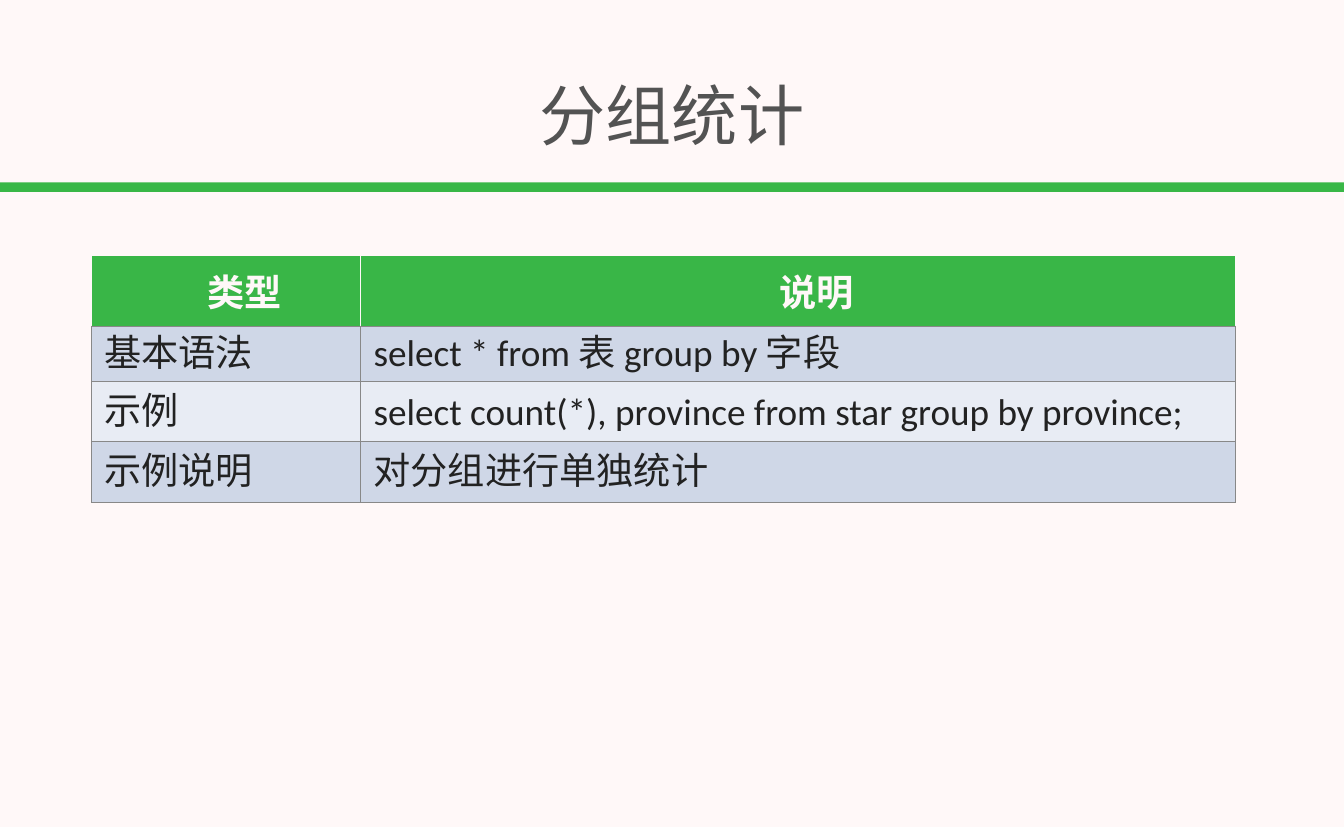
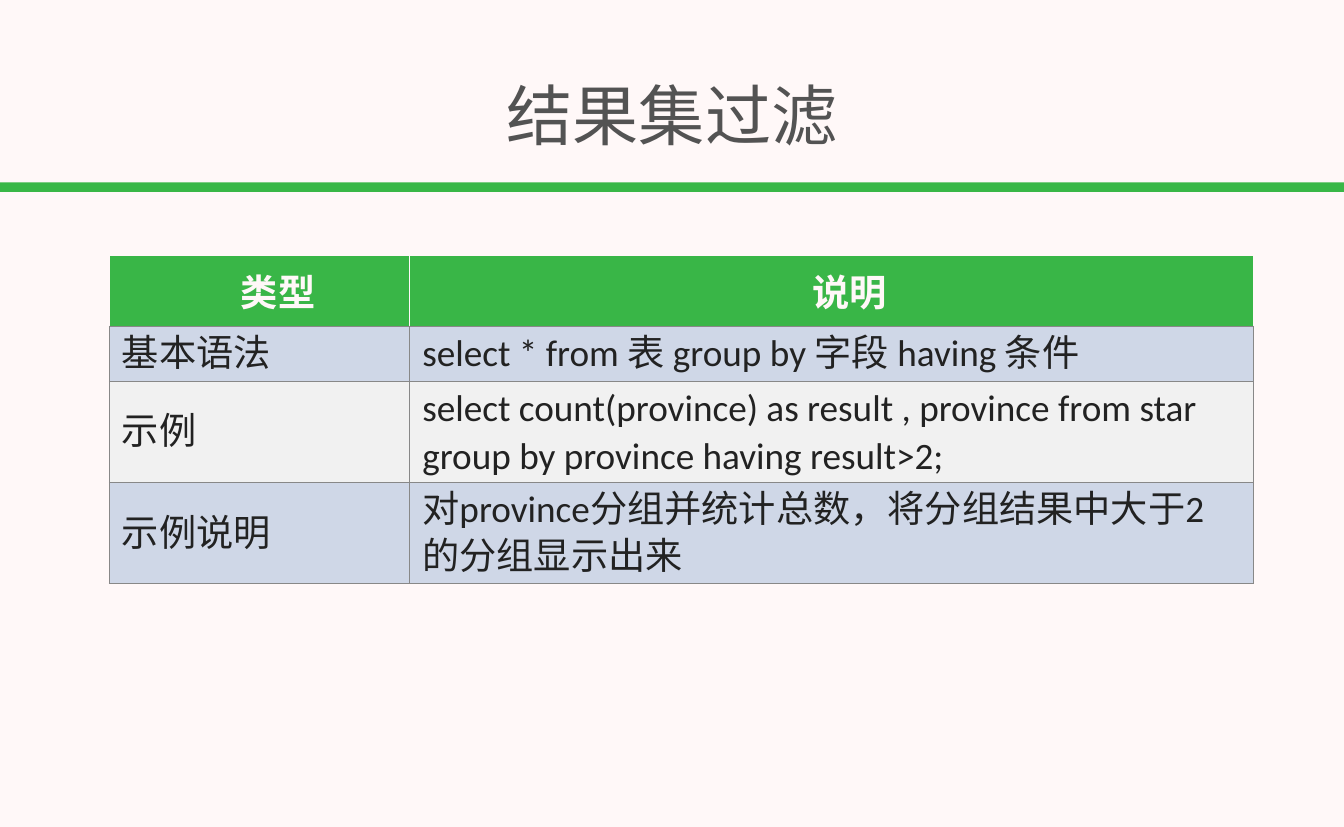
"""Build two slides that explain SQL grouping and result filtering."""
import pptx
import pptx.util
import pptx.dml.color
import pptx.enum.lang
import pptx.enum.shapes
import pptx.enum.text
import pptx.oxml.ns
import lxml.etree

Pt = pptx.util.Pt
ALIGN = pptx.enum.text.PP_ALIGN
MIDDLE = pptx.enum.text.MSO_ANCHOR.MIDDLE
WIDE, HIGH = 1300.32, 799.92
PAPER, GREEN, HEAD, GREY = "FFF8F8", "39B747", "39B647", "888888"
INK, TITLE, BLUE = "222222", "535353", "CFD7E7"
LANG = pptx.enum.lang.MSO_LANGUAGE_ID.SIMPLIFIED_CHINESE


def paint(fill, code):
    fill.solid()
    fill.fore_color.rgb = pptx.dml.color.RGBColor.from_string(code)


def write(para, text, size, code, bold, align):
    para.alignment = align
    run = para.add_run()
    run.text = text
    look = {"name": "Calibri", "size": Pt(size), "bold": bold, "language_id": LANG}
    for key, value in look.items():
        setattr(run.font, key, value)
    paint(run.font.fill, code)


pages = [
    {
        "title": "分组统计",
        "left": 88.6,
        "cols": [260.6, 846],
        "rows": [68.4, 53.3, 58.5, 58.5],
        "band": "E8ECF4",
        "cells": [
            ["类型", "说明"],
            ["基本语法", "select * from 表 group by 字段"],
            ["示例", "select count(*), province from star group by province;"],
            ["示例说明", "对分组进行单独统计"],
        ],
    },
    {
        "title": "结果集过滤",
        "left": 105.8,
        "cols": [290.6, 816],
        "rows": [68.4, 53.3, 97.9, 97.9],
        "band": "F1F1F1",
        "cells": [
            ["类型", "说明"],
            ["基本语法", "select * from 表 group by 字段 having 条件"],
            ["示例", "select count(province) as result , province from star "
                     "group by province having result>2;"],
            ["示例说明", "对province分组并统计总数，将分组结果中大于2的分组显示出来"],
        ],
    },
]

deck = pptx.Presentation()
deck.slide_width, deck.slide_height = Pt(WIDE), Pt(HIGH)

for page in pages:
    slide = deck.slides.add_slide(deck.slide_layouts[6])
    paint(slide.background.fill, PAPER)

    rule = slide.shapes.add_shape(
        pptx.enum.shapes.MSO_SHAPE.RECTANGLE, Pt(0), Pt(176.4), Pt(WIDE), Pt(9.2))
    rule.shadow.inherit = False
    paint(rule.fill, GREEN)
    rule.line.fill.background()

    frame = slide.shapes.add_textbox(Pt(3.3), Pt(59), Pt(1293.8), Pt(102.2)).text_frame
    frame.word_wrap = True
    frame.vertical_anchor = MIDDLE
    for side in ("left", "top", "right", "bottom"):
        setattr(frame, "margin_" + side, Pt(3.6))
    write(frame.paragraphs[0], page["title"], 64, TITLE, False, ALIGN.CENTER)

    cols, rows = page["cols"], page["rows"]
    table = slide.shapes.add_table(
        len(rows), len(cols), Pt(page["left"]), Pt(247),
        Pt(sum(cols)), Pt(sum(rows))).table
    for col, width in zip(table.columns, cols):
        col.width = Pt(width)
    for row, height in zip(table.rows, rows):
        row.height = Pt(height)

    fills = [HEAD, BLUE, page["band"], BLUE]
    for r, texts in enumerate(page["cells"]):
        top = r == 0
        for c, text in enumerate(texts):
            cell = table.cell(r, c)
            cell.vertical_anchor = MIDDLE
            cell.margin_left = cell.margin_right = Pt(0 if top else 12.2)
            cell.margin_top = cell.margin_bottom = Pt(0 if top else 2.9)
            props = cell._tc.get_or_add_tcPr()
            for side in "LRTB":
                edge = lxml.etree.SubElement(
                    props, pptx.oxml.ns.qn("a:ln" + side), w=str(Pt(1)))
                solid = lxml.etree.SubElement(edge, pptx.oxml.ns.qn("a:solidFill"))
                code = PAPER if top and side != "B" else GREY
                lxml.etree.SubElement(solid, pptx.oxml.ns.qn("a:srgbClr"), val=code)
            paint(cell.fill, fills[r])
            para = cell.text_frame.paragraphs[0]
            if top:
                para._p.get_or_add_pPr().set("indent", str(Pt(36)))
                write(para, text, 36, PAPER, True, ALIGN.CENTER)
            else:
                para.line_spacing = Pt(46)
                write(para, text, 36, INK, False, ALIGN.LEFT)

deck.save("out.pptx")
